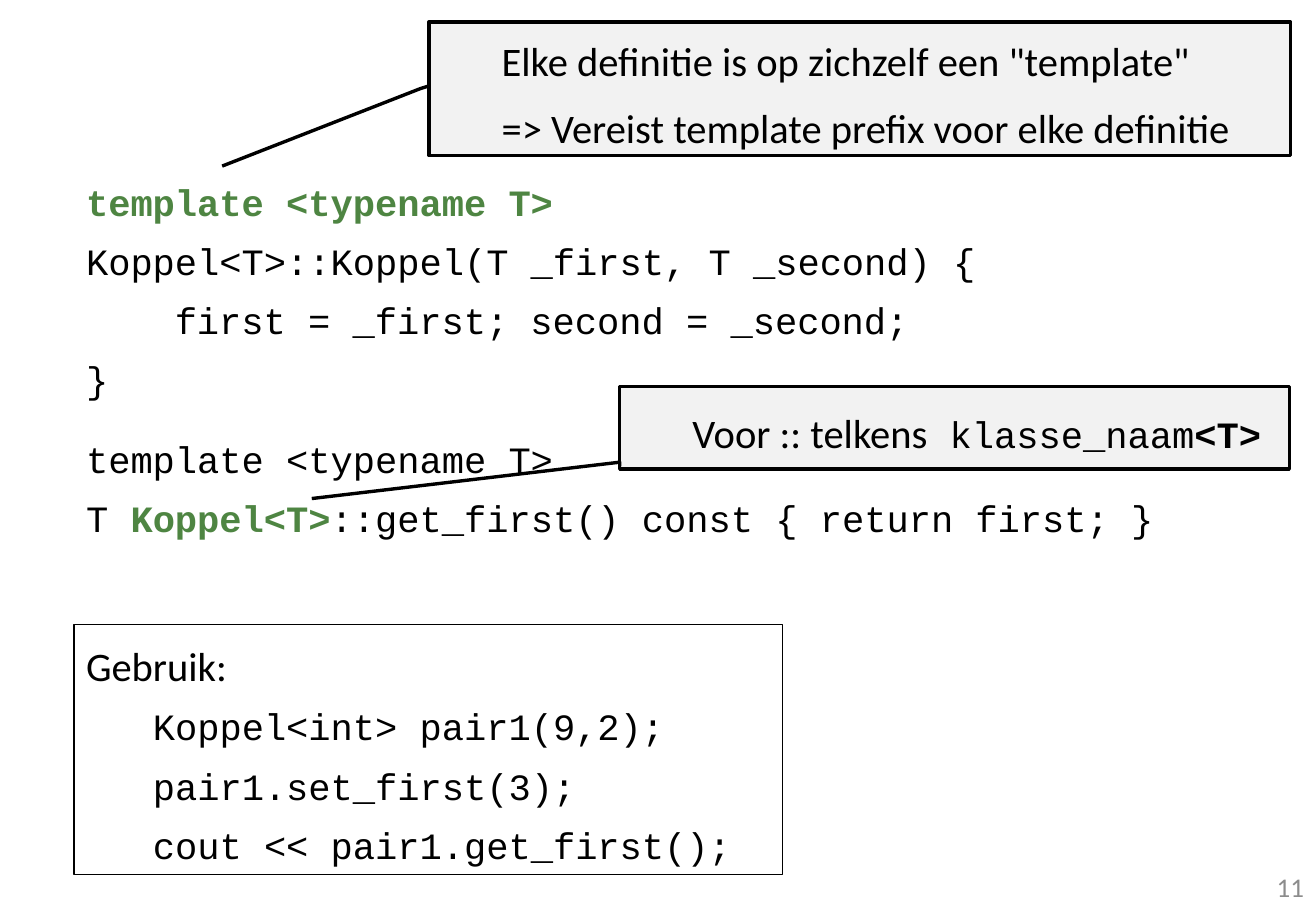
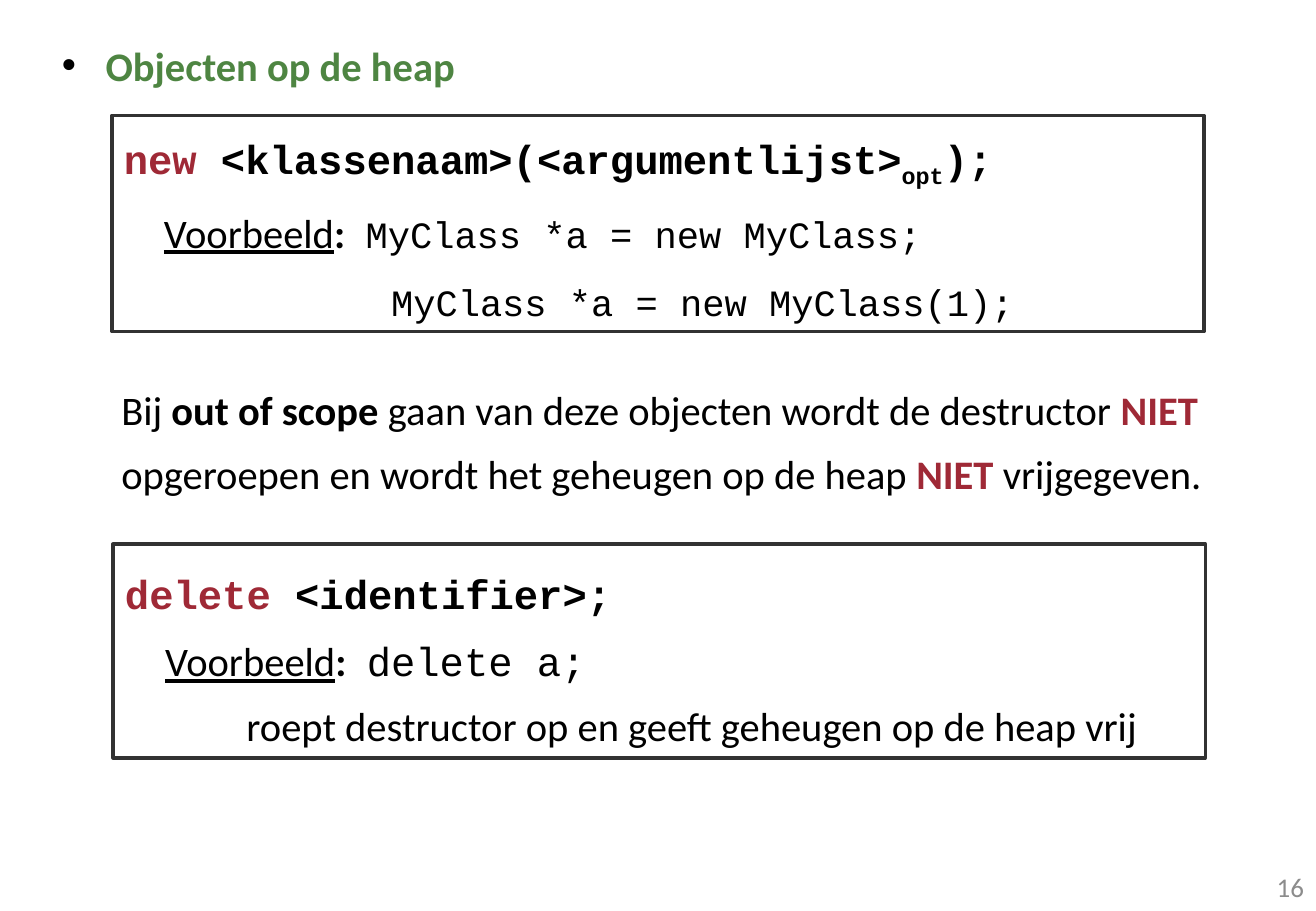
from dataclasses import dataclass
from typing import Optional, Sequence

from lxml.etree import SubElement
from pptx import Presentation
from pptx.dml.color import RGBColor
from pptx.enum.shapes import MSO_SHAPE
from pptx.enum.text import MSO_ANCHOR, PP_ALIGN
from pptx.oxml.ns import qn
from pptx.shapes.autoshape import Shape
from pptx.slide import Slide
from pptx.util import Inches, Pt


@dataclass(frozen=True)
class Theme:
    black: str = "000000"
    green: str = "4E8542"
    red: str = "9F2936"
    grey: str = "8C8C8C"
    frame: str = "323232"
    callout: str = "F2F2F2"
    body_font: str = "Calibri"
    code_font: str = "Courier New"
    body: int = 24
    code: int = 22
    small: int = 20
    footer: int = 16
    tight: int = 35
    medium: int = 38
    loose: int = 40


T = Theme()


@dataclass(frozen=True)
class Run:
    text: str
    size: int = T.body
    font: str = T.body_font
    color: str = T.black
    bold: bool = False
    underline: bool = False
    subscript: bool = False


@dataclass(frozen=True)
class Para:
    runs: Sequence[Run]
    leading: Optional[int] = T.tight
    indent: float = 0
    hanging: float = 0
    before: int = 0
    align: PP_ALIGN = PP_ALIGN.LEFT
    bullet: str = ""


@dataclass(frozen=True)
class Box:
    left: float
    top: float
    width: float
    height: float

    def emu(self) -> list[Inches]:
        return [Inches(v) for v in (self.left, self.top, self.width, self.height)]


def code(text: str, size: int = T.code, color: str = T.black, bold: bool = False) -> Run:
    return Run(text, size, T.code_font, color, bold)


def write(sp: Shape, paras: Sequence[Para], anchor: MSO_ANCHOR = MSO_ANCHOR.TOP) -> None:
    tf = sp.text_frame
    tf.word_wrap = True
    tf.vertical_anchor = anchor
    for i, para in enumerate(paras):
        p = tf.add_paragraph() if i else tf.paragraphs[0]
        p.alignment = para.align
        p.space_before = Pt(para.before)
        if para.leading:
            p.line_spacing = Pt(para.leading)
        pPr = p._p.get_or_add_pPr()
        pPr.set("marL", str(Inches(para.indent)))
        pPr.set("indent", str(Inches(-para.hanging)))
        if para.bullet:
            color = SubElement(pPr, qn("a:buClr"))
            SubElement(color, qn("a:srgbClr"), val=T.black)
            SubElement(pPr, qn("a:buFont"), typeface="Arial")
            SubElement(pPr, qn("a:buChar"), char=para.bullet)
        for run in para.runs:
            r = p.add_run()
            r.text = run.text
            f = r.font
            f.name, f.size = run.font, Pt(run.size)
            f.bold, f.underline = run.bold, run.underline
            f.color.rgb = RGBColor.from_string(run.color)
            if run.subscript:
                r._r.get_or_add_rPr().set("baseline", "-25000")


def add_text(s: Slide, box: Box, paras: Sequence[Para],
             anchor: MSO_ANCHOR = MSO_ANCHOR.TOP) -> None:
    write(s.shapes.add_textbox(*box.emu()), paras, anchor)


def add_outlined(s: Slide, kind: MSO_SHAPE, box: Box, color: str, weight: float) -> Shape:
    sp = s.shapes.add_shape(kind, *box.emu())
    sp.shadow.inherit = False
    sp.fill.background()
    sp.line.color.rgb = RGBColor.from_string(color)
    sp.line.width = Pt(weight)
    return sp


def add_frame(s: Slide, box: Box, paras: Sequence[Para],
              color: str = T.frame, weight: float = 2) -> None:
    write(add_outlined(s, MSO_SHAPE.RECTANGLE, box, color, weight), paras)


def add_callout(s: Slide, box: Box, pointer: Sequence[float], paras: Sequence[Para]) -> None:
    """Pointer holds y, x pairs as fractions of the box: start, bend, tip."""
    sp = add_outlined(s, MSO_SHAPE.LINE_CALLOUT_2, box, T.black, 2)
    sp.fill.solid()
    sp.fill.fore_color.rgb = RGBColor.from_string(T.callout)
    for i, value in enumerate(pointer):
        sp.adjustments[i] = value
    write(sp, paras, MSO_ANCHOR.MIDDLE)


def add_slide(prs: Presentation, number: int) -> Slide:
    s = prs.slides.add_slide(prs.slide_layouts[6])
    label = Run(str(number), T.footer, color=T.grey)
    add_text(s, Box(8.3, 7.1, 2.53, 0.4),
             [Para([label], None, align=PP_ALIGN.RIGHT)], MSO_ANCHOR.MIDDLE)
    return s


def example(statement: Run) -> Para:
    return Para([Run("Voorbeeld", underline=True), Run(":", bold=True),
                 code(" ", T.small, bold=True), statement], T.loose, indent=0.33)


def build_template_slide(prs: Presentation) -> None:
    s = add_slide(prs, 11)
    add_callout(s, Box(3.53, 0.18, 7.09, 1.1), (0.48, 0, 0.5, -0.01, 1.08, -0.24), [
        Para([Run('Elke definitie is op zichzelf een "template"')], indent=0.81, hanging=0.31),
        Para([Run("=> Vereist template prefix voor elke definitie")], T.loose,
             indent=0.81, hanging=0.31),
    ])
    add_text(s, Box(0.61, 1.31, 9.21, 3.21), [
        Para([code("template <typename T>", color=T.green, bold=True)]),
        Para([code("Koppel<T>::Koppel(T _first, T _second) {")]),
        Para([code("first = _first; second = _second;")], indent=0.73),
        Para([code("}")]),
        Para([code("template <typename T>")], before=12),
        Para([code("T "), code("Koppel<T>", color=T.green, bold=True),
              code("::get_first() const { return first; }")]),
    ])
    usage = ("Koppel<int> pair1(9,2);", "pair1.set_first(3);", "cout << pair1.get_first();")
    add_frame(s, Box(0.61, 5.14, 5.83, 2.06),
              [Para([Run("Gebruik:")])] + [Para([code(line)], indent=0.55) for line in usage],
              T.black, 0.75)
    add_callout(s, Box(5.1, 3.18, 5.51, 0.68), (0.97, 0, 0.92, 0, 1.36, -0.46), [
        Para([Run("Voor :: telkens"), code(" klasse_naam"), code("<T>", bold=True)],
             indent=0.81, hanging=0.31),
    ])


def build_heap_slide(prs: Presentation) -> None:
    s = add_slide(prs, 16)
    never = Run("NIET", color=T.red, bold=True)
    add_text(s, Box(0.28, 0.13, 9.61, 0.75), [
        Para([Run("Objecten op de heap", color=T.green, bold=True)], T.loose,
             indent=0.49, hanging=0.36, before=6, bullet="•"),
    ])
    add_frame(s, Box(0.92, 0.95, 8.99, 1.78), [
        Para([code("new", T.body, T.red, True),
              code(" <klassenaam>(<argumentlijst>", T.body, bold=True),
              Run("opt", font=T.code_font, bold=True, subscript=True),
              code(");", T.body, bold=True)], T.loose),
        example(code("MyClass *a = new MyClass;")),
        Para([code("MyClass *a = new MyClass(1);")], T.loose, indent=2.2),
    ])
    add_text(s, Box(0.9, 2.99, 9.3, 1.17), [
        Para([Run("Bij "), Run("out of scope", bold=True),
              Run(" gaan van deze objecten wordt de destructor "), never,
              Run(" opgeroepen en wordt het geheugen op de heap "), never,
              Run(" vrijgegeven.")], T.medium),
    ])
    add_frame(s, Box(0.93, 4.48, 8.99, 1.76), [
        Para([code("delete ", T.body, T.red, True),
              code("<identifier>;", T.body, bold=True)], T.loose),
        example(code("delete a;", T.body)),
        Para([Run("roept destructor op en geeft geheugen op de heap vrij")], T.medium, indent=1),
    ])


def main() -> None:
    prs = Presentation()
    prs.slide_width, prs.slide_height = Inches(10.83), Inches(7.5)
    build_template_slide(prs)
    build_heap_slide(prs)
    prs.save("out.pptx")


if __name__ == "__main__":
    main()
